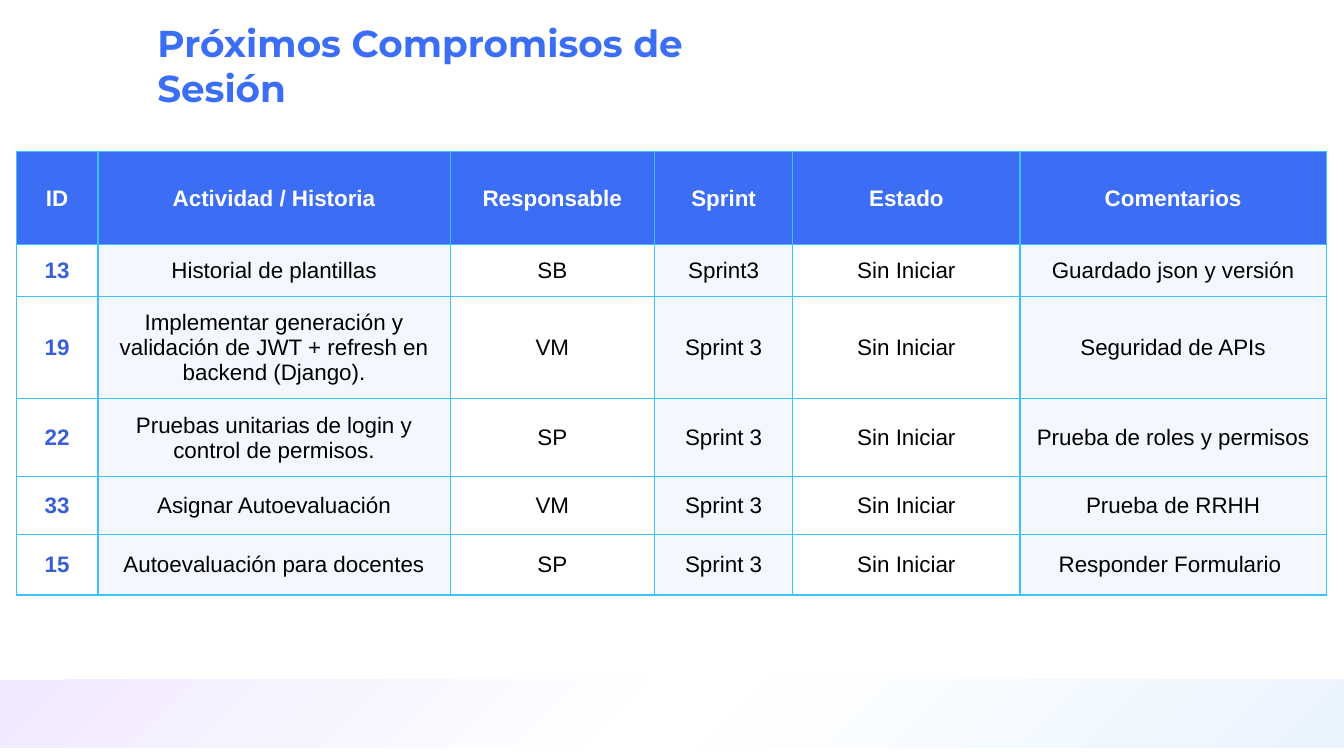
from pptx import Presentation
from pptx.dml.color import RGBColor
from pptx.enum.shapes import MSO_SHAPE as SHAPE
from pptx.enum.text import MSO_ANCHOR as ANCHOR, PP_ALIGN as ALIGN
from pptx.oxml import parse_xml
from pptx.oxml.ns import nsdecls
from pptx.util import Inches, Pt

BLUE, ID_BLUE, PALE, CYAN = "3B6EF5", "375FD8", "F3F8FF", "39C4FF"
WHITE, BLACK = "FFFFFF", "000000"
WIDTHS = [0.61, 2.62, 1.52, 1.03, 1.69, 2.28]
HEIGHTS = [0.69, 0.38, 0.76, 0.58, 0.43, 0.45]
SHADED_COLUMNS = (1, 3, 5)
STATUS = "Sin Iniciar"
ROWS = [
    ["ID", "Actividad / Historia", "Responsable", "Sprint", "Estado", "Comentarios"],
    ["13", "Historial de plantillas", "SB", "Sprint3", STATUS, "Guardado json y versión"],
    ["19", "Implementar generación y validación de JWT + refresh en backend (Django).",
     "VM", "Sprint 3", STATUS, "Seguridad de APIs"],
    ["22", "Pruebas unitarias de login y control de permisos.",
     "SP", "Sprint 3", STATUS, "Prueba de roles y permisos"],
    ["33", "Asignar Autoevaluación", "VM", "Sprint 3", STATUS, "Prueba de RRHH"],
    ["15", "Autoevaluación para docentes", "SP", "Sprint 3", STATUS, "Responder Formulario "],
]


def rgb(value):
    """Return the colour for a hex string."""
    return RGBColor.from_string(value)


def set_font(p, name, size, color, bold):
    """Format every run of a paragraph."""
    for r in p.runs:
        r.font.name, r.font.size, r.font.bold = name, Pt(size), bold
        r.font.color.rgb = rgb(color)


def set_margins(box):
    """Give a text frame or cell equal margins."""
    box.margin_left = box.margin_right = Inches(0.1)
    box.margin_top = box.margin_bottom = Inches(0.1)


def add_title(s, text):
    """Fill and place the title, and drop the unused subtitle."""
    sp = s.shapes.title
    sp.left, sp.top = Inches(1.07), Inches(0.21)
    sp.width, sp.height = Inches(5.15), Inches(0.71)
    tf = sp.text_frame
    tf.text, tf.word_wrap, tf.vertical_anchor = text, True, ANCHOR.BOTTOM
    set_margins(tf)
    p = tf.paragraphs[0]
    p.alignment = ALIGN.LEFT
    set_font(p, "Montserrat", 20, BLUE, True)
    subtitle = s.placeholders[1].element
    subtitle.getparent().remove(subtitle)


def add_band(s):
    """Add the footer band with its radial gradient."""
    sp = s.shapes.add_shape(SHAPE.RECTANGLE, 0, Inches(5.06), Inches(10), Inches(0.5))
    sp.shadow.inherit = False
    sp.line.fill.background()
    stops = "".join(
        f'<a:gs pos="{pos * 1000}"><a:srgbClr val="{color}"/></a:gs>'
        for pos, color in [(0, "EAF4FF"), (50, WHITE), (100, "F0E9FF")])
    sp.element.spPr.insert(2, parse_xml(
        f'<a:gradFill {nsdecls("a")}><a:gsLst>{stops}</a:gsLst><a:path path="circle">'
        '<a:fillToRect l="100000" t="100000"/></a:path></a:gradFill>'))


def set_borders(cell):
    """Draw the same thin line on all four sides of a cell."""
    tcPr = cell._tc.get_or_add_tcPr()
    for side in "LRTB":
        tcPr.append(parse_xml(
            f'<a:ln{side} {nsdecls("a")} w="{Pt(0.75)}"><a:solidFill>'
            f'<a:srgbClr val="{CYAN}"/></a:solidFill></a:ln{side}>'))


def fill_cell(cell, text, color, bold, fill):
    """Write and format one cell."""
    cell.text, cell.vertical_anchor = text, ANCHOR.MIDDLE
    set_margins(cell)
    p = cell.text_frame.paragraphs[0]
    p.alignment = ALIGN.CENTER
    set_font(p, "Arial", 12, color, bold)
    set_borders(cell)
    if fill:
        cell.fill.solid()
        cell.fill.fore_color.rgb = rgb(fill)
    else:
        cell.fill.background()


def add_commitments(s):
    """Add the table of commitments."""
    table = s.shapes.add_table(
        len(ROWS), len(WIDTHS), Inches(0.12), Inches(1.13),
        Inches(sum(WIDTHS)), Inches(sum(HEIGHTS))).table
    for column, width in zip(table.columns, WIDTHS):
        column.width = Inches(width)
    for row, height in zip(table.rows, HEIGHTS):
        row.height = Inches(height)
    for i, values in enumerate(ROWS):
        for j, text in enumerate(values):
            if i == 0:
                look = WHITE, True, BLUE
            elif j == 0:
                look = ID_BLUE, True, None
            else:
                look = BLACK, False, PALE if j in SHADED_COLUMNS else None
            fill_cell(table.cell(i, j), text, *look)


def main():
    """Build and save the slide."""
    prs = Presentation()
    prs.slide_width = Inches(10)
    prs.slide_height = prs.slide_width * 9 // 16
    s = prs.slides.add_slide(prs.slide_layouts[0])
    add_title(s, "Próximos Compromisos de Sesión")
    add_band(s)
    add_commitments(s)
    prs.save("out.pptx")


if __name__ == "__main__":
    main()
